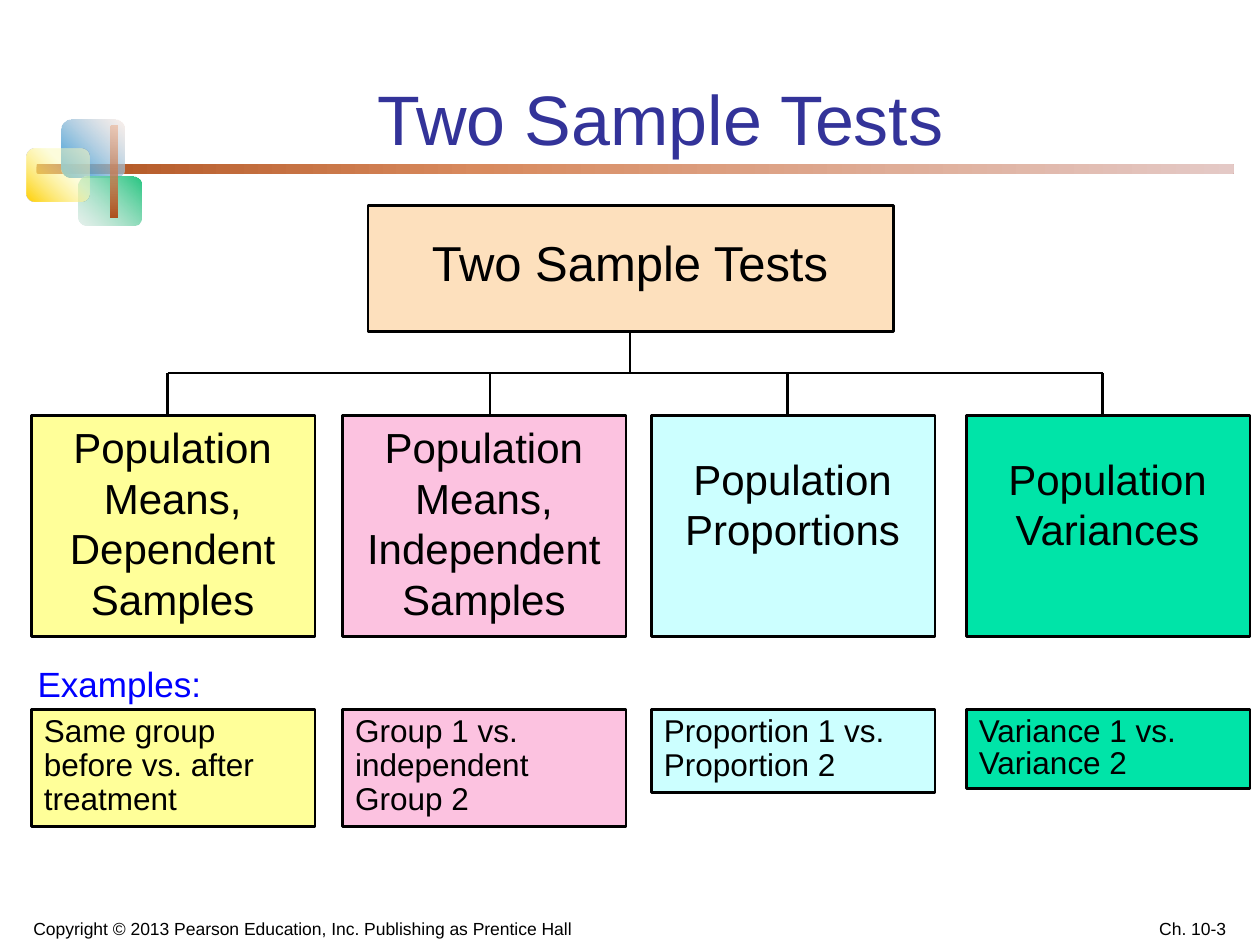
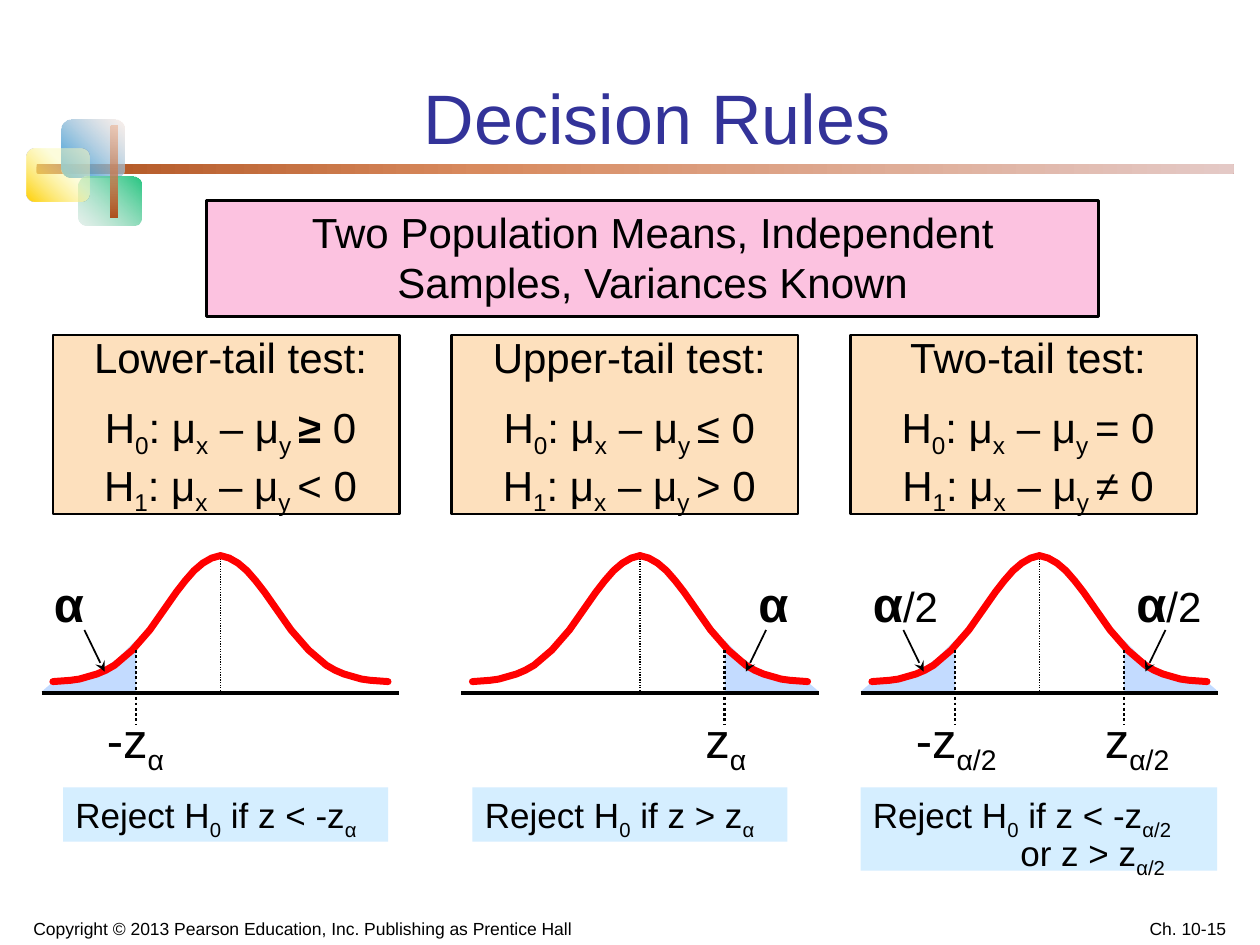
import pptx
import pptx.util
import pptx.dml.color
import pptx.enum.dml
import pptx.enum.shapes
import pptx.enum.text
import pptx.oxml.ns
from lxml import etree

Inches = pptx.util.Inches
Pt = pptx.util.Pt
qn = pptx.oxml.ns.qn
SHAPE = pptx.enum.shapes.MSO_SHAPE
ALIGN = pptx.enum.text.PP_ALIGN
ANCHOR = pptx.enum.text.MSO_ANCHOR

FONT = "Arial"
COLORS = {
    "black": "000000", "title": "333399", "blue": "0000FF", "peach": "FDE0BD",
    "pink": "FCC2E0", "yellow": "FFFF99", "green": "00E4A8", "cyan": "CCFFFF",
    "pale": "D5EEFF", "tail": "C3DBFF", "red": "FF0000",
    "rust": "AE511E", "copper": "D88A5E", "blush": "E4C9C6", "sky": "2895D8",
    "cream": "F7E2D9", "emerald": "25C580", "mist": "CCE2D9", "gold": "FFCF01",
    "lemon": "FCFCBC", "salmon": "EAA782",
}
COPYRIGHT = "Copyright © 2013 Pearson Education, Inc. Publishing as Prentice Hall"

ORNAMENTS = [
    ((0.29, 1.3, 9.5, 0.08), 0, [(0, "rust", 100), (37, "copper", 100), (100, "blush", 100)]),
    ((0.49, 0.95, 0.5, 0.46), 315, [(0, "sky", 100), (100, "cream", 50)]),
    ((0.62, 1.4, 0.5, 0.39), 135, [(0, "emerald", 100), (100, "mist", 50)]),
    ((0.21, 1.18, 0.5, 0.42), 315, [(0, "gold", 100), (63, "lemon", 50)]),
    ((0.88, 1, 0.05, 0.73), 270, [(0, "rust", 100), (100, "salmon", 50)]),
]

TEST_KINDS = [
    dict(left=0.25, stem=1.33, color="yellow", name="Population Means, Dependent Samples",
         name_top=3.3, example=["Same group before vs. after treatment"], height=0.93),
    dict(left=2.72, stem=3.89, color="pink", name="Population Means, Independent Samples",
         name_top=3.3, example=["Group 1 vs. independent Group 2"], height=0.93),
    dict(left=5.17, stem=6.25, color="cyan", name="Population Proportions",
         name_top=3.55, example=["Proportion 1 vs. Proportion 2"], height=0.66),
    dict(left=7.67, stem=8.75, color="green", name="Population Variances",
         name_top=3.55, height=0.63,
         example=["Variance 1 vs.", ("Variance 2", dict(spacing=0.5, before=5.4))]),
]

# "|" toggles subscript and "*" toggles bold.
DECISIONS = [
    dict(center=1.75, name="Lower-tail test:", null="*≥* 0", alt="< 0",
         tails=[dict(side=-1, alpha="*α*", alpha_dx=-1.42, z="-z|α", z_dx=-1)],
         rule=["Reject H|0| if z < -z|α"], rule_box=(0.5, 6.25, 2.58, 0.43)),
    dict(center=5.08, name="Upper-tail test:", null="≤ 0", alt="> 0",
         tails=[dict(side=1, alpha="*α*", alpha_dx=0.84, z="z|α", z_dx=0.42)],
         rule=["Reject H|0| if z > z|α"], rule_box=(3.75, 6.25, 2.5, 0.43)),
    dict(center=8.25, name="Two-tail test:", null="= 0", alt="≠ 0",
         tails=[dict(side=-1, alpha="*α*/2", alpha_dx=-1.42, z="-z|α/2", z_dx=-1.08),
                dict(side=1, alpha="*α*/2", alpha_dx=0.67, z="z|α/2", z_dx=0.42)],
         rule=["Reject H|0| if z < -z|α/2",
               ("or z > z|α/2", dict(spacing=0.2, before=10, indent=1.17))],
         rule_box=(6.83, 6.25, 2.83, 0.66)),
]

HALF_BELL = [
    (-1.33, 5.41), (-1.19, 5.4), (-1.12, 5.39), (-1.05, 5.37), (-0.98, 5.35),
    (-0.91, 5.32), (-0.84, 5.28), (-0.7, 5.16), (-0.56, 5), (-0.42, 4.8),
    (-0.35, 4.7), (-0.28, 4.61), (-0.21, 4.53), (-0.14, 4.47), (-0.07, 4.43), (0, 4.41),
]
TAIL = [(-1.42, 5.49), (-1.35, 5.43), (-1.1, 5.38), (-0.97, 5.33),
        (-0.82, 5.23), (-0.67, 5.08), (-0.67, 5.49)]


def rgb(name):
    return pptx.dml.color.RGBColor.from_string(COLORS[name])


def inches(values):
    return [Inches(v) for v in values]


def write(tf, paras, size=18, color="black", align=None, spacing=None, bold_size=None,
          anchor=ANCHOR.TOP):
    tf.word_wrap = True
    tf.auto_size = pptx.enum.text.MSO_AUTO_SIZE.NONE
    tf.vertical_anchor = anchor
    for i, para in enumerate(paras):
        text, own = (para, {}) if isinstance(para, str) else para
        p = tf.paragraphs[0] if i == 0 else tf.add_paragraph()
        p.alignment = align or ALIGN.LEFT
        p.line_spacing = own.get("spacing", spacing)
        p.space_before = Pt(own.get("before", 0))
        if "indent" in own:
            p._p.get_or_add_pPr().set("marL", str(Inches(own["indent"])))
        for j, level in enumerate(text.split("|")):
            for k, part in enumerate(level.split("*")):
                if not part:
                    continue
                r = p.add_run()
                r.text = part
                r.font.name = FONT
                r.font.bold = k % 2 == 1
                r.font.size = Pt(bold_size if bold_size and k % 2 else size)
                r.font.color.rgb = rgb(color)
                if j % 2:
                    r._r.get_or_add_rPr().set("baseline", "-25000")


def add_text(s, box, paras, **fmt):
    write(s.shapes.add_textbox(*inches(box)).text_frame, paras, **fmt)


def style(sp, fill=None, line=None, width=1.5):
    sp.shadow.inherit = False
    if fill:
        sp.fill.solid()
        sp.fill.fore_color.rgb = rgb(fill)
    else:
        sp.fill.background()
    if line:
        sp.line.color.rgb = rgb(line)
        sp.line.width = Pt(width)
    else:
        sp.line.fill.background()


def add_box(s, box, fill, line="black", paras=(), **fmt):
    sp = s.shapes.add_shape(SHAPE.RECTANGLE, *inches(box))
    style(sp, fill, line)
    if paras:
        write(sp.text_frame, paras, **fmt)


def add_line(s, x1, y1, x2, y2, width=1.5, dotted=False, arrow=False):
    cn = s.shapes.add_connector(pptx.enum.shapes.MSO_CONNECTOR.STRAIGHT,
                                *inches((x1, y1, x2, y2)))
    cn.line.color.rgb = rgb("black")
    cn.line.width = Pt(width)
    if dotted:
        cn.line.dash_style = pptx.enum.dml.MSO_LINE.ROUND_DOT
    spPr = cn._element.spPr
    if arrow:
        etree.SubElement(spPr.find(qn("a:ln")), qn("a:tailEnd"), type="stealth")
    etree.SubElement(spPr, qn("a:effectLst"))


def add_outline(s, points, close, **look):
    points = [inches(pt) for pt in points]
    fb = s.shapes.build_freeform(*points[0])
    fb.add_line_segments(points[1:], close=close)
    sp = fb.convert_to_shape()
    style(sp, **look)
    return sp


def add_ornament(s, box, angle, stops):
    sp = s.shapes.add_shape(SHAPE.ROUNDED_RECTANGLE, *inches(box))
    style(sp)
    sp.fill.gradient()
    grad = sp._element.spPr.find(qn("a:gradFill"))
    grad.find(qn("a:lin")).set("ang", str(angle * 60000))
    gs_list = grad.find(qn("a:gsLst"))
    gs_list.clear()
    for pos, color, opacity in stops:
        gs = etree.SubElement(gs_list, qn("a:gs"), pos=str(pos * 1000))
        clr = etree.SubElement(gs, qn("a:srgbClr"), val=COLORS[color])
        if opacity < 100:
            etree.SubElement(clr, qn("a:alpha"), val=str(opacity * 1000))


def add_slide(prs, title, title_box, number, spacing=None):
    s = prs.slides.add_slide(prs.slide_layouts[5])
    for ornament in ORNAMENTS:
        add_ornament(s, *ornament)
    sp = s.shapes.title
    sp.left, sp.top, sp.width, sp.height = inches(title_box)
    write(sp.text_frame, [title], size=40, color="title", align=ALIGN.CENTER,
          spacing=spacing, anchor=ANCHOR.BOTTOM)
    for box, text, align in [((0, 7.15, 4.8, 0.35), COPYRIGHT, ALIGN.CENTER),
                             ((7.5, 7.15, 2.33, 0.35), number, ALIGN.RIGHT)]:
        add_text(s, box, [text], size=10, align=align, spacing=1.05, anchor=ANCHOR.BOTTOM)
    return s


def build_tests(prs):
    s = add_slide(prs, "Two Sample Tests", (1.25, 0.56, 7.98, 0.75), "Ch. 10-3", 0.8)
    add_box(s, (2.92, 1.63, 4.17, 1), "peach")
    add_text(s, (3, 1.8, 4, 0.57), ["Two Sample Tests"], size=28, align=ALIGN.CENTER)
    add_line(s, 5, 2.63, 5, 2.96)
    add_line(s, TEST_KINDS[0]["stem"], 2.96, TEST_KINDS[-1]["stem"], 2.96)
    add_text(s, (0.2, 5.3, 1.67, 0.33), ["Examples:"], size=20, color="blue", spacing=0.7)
    for t in TEST_KINDS:
        add_line(s, t["stem"], 2.96, t["stem"], 3.3)
        add_box(s, (t["left"], 3.3, 2.25, 1.75), t["color"])
        add_text(s, (t["left"] + 0.08, t["name_top"], 2.08, 1.7), [t["name"]],
                 size=24, align=ALIGN.CENTER)
        add_box(s, (t["left"], 5.63, 2.25, t["height"]), t["color"],
                paras=t["example"], spacing=0.9)


def build_curve(s, d):
    cx = d["center"]
    add_line(s, cx, 4.41, cx, 5.5, width=0.75, dotted=True)
    for t in d["tails"]:
        add_outline(s, [(cx - t["side"] * x, y) for x, y in TAIL], True, fill="tail")
    bell = HALF_BELL + [(-x, y) for x, y in HALF_BELL[-2::-1]]
    sp = add_outline(s, [(cx + x, y) for x, y in bell], False, line="red", width=4)
    sp._element.spPr.find(qn("a:ln")).set("cap", "rnd")
    add_line(s, cx - 1.42, 5.5, cx + 1.42, 5.5, width=2)
    for t in d["tails"]:
        side = t["side"]
        start = 1.0 if side > 0 else 1.08
        add_line(s, cx + side * start, 5, cx + side * (start - 0.16), 5.33,
                 width=1, arrow=True)
        add_line(s, cx + side * 0.67, 5.16, cx + side * 0.67, 5.75, dotted=True)
        add_text(s, (cx + t["alpha_dx"], 4.5, 0.92 if "/" in t["alpha"] else 0.42, 0.56),
                 [t["alpha"]], size=24, bold_size=28)
        add_text(s, (cx + t["z_dx"], 5.58, 1.08, 0.56), [t["z"]], size=28)


def build_rules(prs):
    s = add_slide(prs, "Decision Rules", (1.18, 0.23, 8.07, 1.08), "Ch. 10-15")
    add_box(s, (1.64, 1.59, 7.08, 0.92), "pink", size=24, align=ALIGN.CENTER,
            paras=["Two Population Means, Independent Samples, Variances Known"])
    for i, d in enumerate(DECISIONS):
        left = 0.42 + 3.165 * i
        add_box(s, (left, 2.66, 2.75, 1.42), "peach")
        difference = ": μ|x| – μ|y |"
        add_text(s, (left - 0.09, 2.58, 3, 1.47),
                 [d["name"], ("H|0|" + difference + d["null"], dict(before=11.5)),
                  "H|1|" + difference + d["alt"]], size=24, align=ALIGN.CENTER)
        build_curve(s, d)
        add_box(s, d["rule_box"], "pale", line=None, paras=d["rule"], size=20)


def main():
    prs = pptx.Presentation()
    prs.slide_width, prs.slide_height = inches((10, 7.5))
    build_tests(prs)
    build_rules(prs)
    prs.save("out.pptx")


if __name__ == "__main__":
    main()
